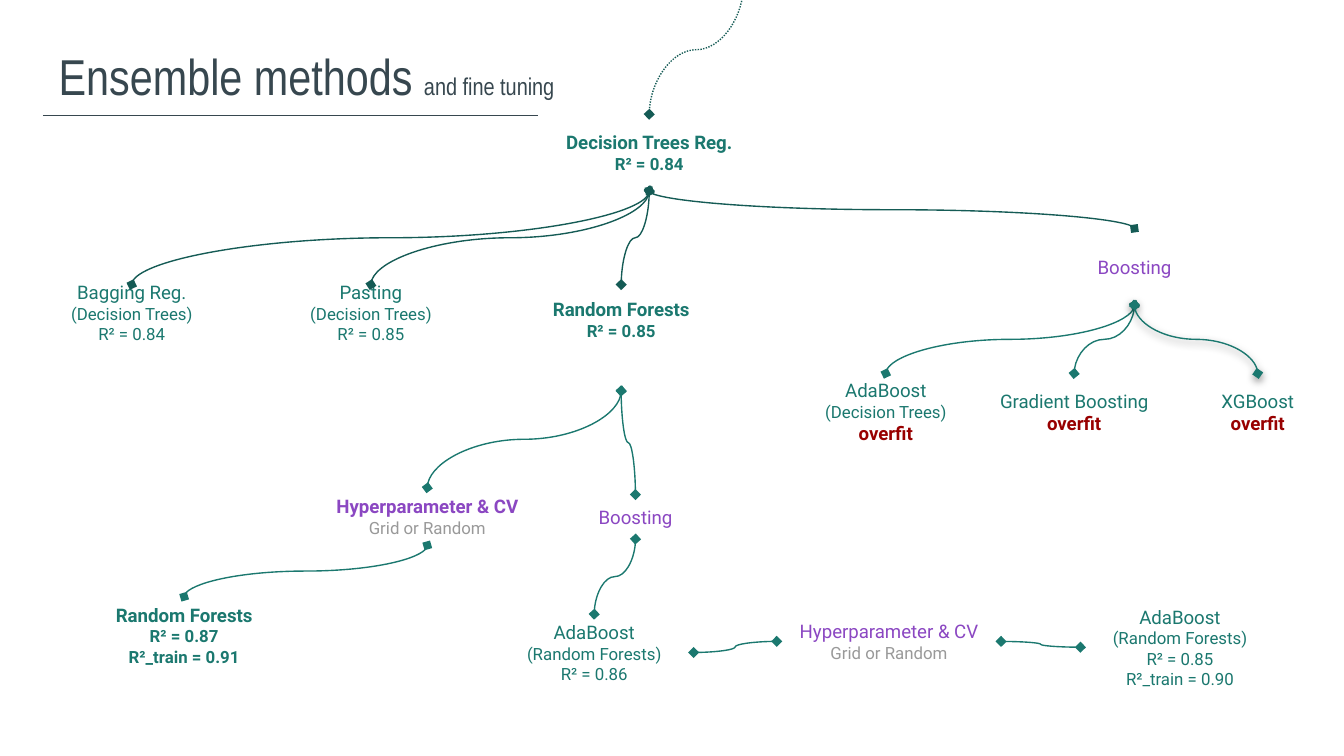
"""Build a slide with a tree of ensemble methods and their R² scores."""
from lxml.etree import SubElement
from pptx import Presentation
from pptx.dml.color import RGBColor
from pptx.enum.dml import MSO_LINE
from pptx.enum.shapes import MSO_CONNECTOR as Link
from pptx.enum.text import MSO_ANCHOR as Anchor, PP_ALIGN as Align
from pptx.oxml.ns import qn
from pptx.util import Cm, Pt

COLORS = {"slate": "37474F", "teal": "1B786F", "dark": "155B55",
          "purple": "8B47C2", "red": "980000", "gray": "999999"}
TOP, LEFT, BOTTOM, RIGHT = range(4)
WIDTH, HEIGHT = 3.76, 1.45

deck = Presentation()
deck.slide_width, deck.slide_height = Cm(25.4), Cm(14.29)
slide = deck.slides.add_slide(deck.slide_layouts[6])


def add_run(paragraph, text, size, color, bold=False, font="Roboto"):
    run = paragraph.add_run()
    run.text = text
    run.font.name, run.font.size, run.font.bold = font, Pt(size), bold
    run.font.color.rgb = RGBColor.from_string(COLORS[color])


def style_link(link, color, ends=True, shadow=False):
    link.line.width = Pt(0.75)
    link.line.color.rgb = RGBColor.from_string(COLORS[color])
    properties = link._element.spPr
    if ends:
        outline = properties.find(qn("a:ln"))
        for end in ("a:headEnd", "a:tailEnd"):
            SubElement(outline, qn(end), type="diamond")
    effects = SubElement(properties, qn("a:effectLst"))
    if shadow:
        cast = SubElement(effects, qn("a:outerShdw"), blurRad="57150",
                          dist="19050", dir="5400000", algn="bl", rotWithShape="0")
        black = SubElement(cast, qn("a:srgbClr"), val="000000")
        SubElement(black, qn("a:alpha"), val="50000")


title = slide.shapes.add_textbox(Cm(0.86), Cm(0.61), Cm(23.67), Cm(1.6)).text_frame
title.word_wrap = True
title.margin_left = title.margin_right = title.margin_top = title.margin_bottom = Cm(0.25)
add_run(title.paragraphs[0], "Ensemble methods ", 27, "slate", font="Arial Narrow")
add_run(title.paragraphs[0], "and fine tuning", 13, "slate", font="Arial Narrow")
underline = slide.shapes.add_connector(Link.STRAIGHT, Cm(0.81), Cm(2.18), Cm(10.16), Cm(2.18))
style_link(underline, "slate", ends=False)

overfit = ("overfit", 10, "red", True)
search = ("Grid or Random", 9, "gray")
on_trees = ("(Decision Trees)", 9, "teal")
on_forests = ("(Random Forests)", 9, "teal")
adaboost = ("AdaBoost", 10, "teal")
boosting = ("Boosting", 10, "purple")

methods = {
    "trees": (10.39, 2.16, WIDTH, HEIGHT, [
        ("Decision Trees Reg.", 10, "teal", True), ("R² = 0.84", 9, "teal", True)]),
    "bagging": (0.61, 5.38, WIDTH, HEIGHT, [
        ("Bagging Reg.", 10, "teal"), on_trees, ("R² = 0.84", 9, "teal")]),
    "pasting": (5.13, 5.38, WIDTH, HEIGHT, [
        ("Pasting", 10, "teal"), on_trees, ("R² = 0.85", 9, "teal")]),
    "forests": (9.86, 5.38, WIDTH, 2.01, [
        ("Random Forests", 10, "teal", True), ("R² = 0.85", 9, "teal", True)]),
    "tree boosting": (19.56, 4.32, WIDTH, HEIGHT, [boosting]),
    "tree adaboost": (14.86, 7.06, WIDTH, HEIGHT, [adaboost, on_trees, overfit]),
    "gradient": (18.42, 7.06, WIDTH, HEIGHT, [("Gradient Boosting", 10, "teal"), overfit]),
    "xgboost": (21.89, 7.06, WIDTH, HEIGHT, [("XGBoost", 10, "teal"), overfit]),
    "forest search": (6.02, 9.22, 4.11, 1.09, [
        ("Hyperparameter & CV", 10, "purple", True), search]),
    "forest boosting": (10.13, 9.35, WIDTH, 0.84, [boosting]),
    "tuned forests": (1.6, 11.28, WIDTH, HEIGHT, [
        ("Random Forests", 10, "teal", True), ("R² = 0.87", 9, "teal", True),
        ("R²_train = 0.91", 9, "teal", True)]),
    "forest adaboost": (9.35, 11.61, WIDTH, HEIGHT, [
        adaboost, on_forests, ("R² = 0.86", 9, "teal")]),
    "adaboost search": (14.68, 11.4, 4.24, HEIGHT, [
        ("Hyperparameter & CV", 10, "purple"), search]),
    "tuned adaboost": (20.42, 11.51, WIDTH, HEIGHT, [
        adaboost, on_forests, ("R² = 0.85", 9, "teal"), ("R²_train = 0.90", 9, "teal")]),
}

boxes = {}
for method, (left, top, width, height, lines) in methods.items():
    box = slide.shapes.add_textbox(Cm(left), Cm(top), Cm(width), Cm(height))
    frame = box.text_frame
    frame.word_wrap = True
    frame.margin_left = frame.margin_right = frame.margin_top = Cm(0.25)
    frame.margin_bottom = Cm(0.64 if method in ("bagging", "pasting") else 0.25)
    frame.vertical_anchor = Anchor.TOP if method == "forests" else Anchor.MIDDLE
    for index, line in enumerate(lines):
        paragraph = frame.add_paragraph() if index else frame.paragraphs[0]
        paragraph.alignment = Align.CENTER
        add_run(paragraph, *line)
    boxes[method] = box

branches = [
    (None, "trees", "dark"),
    ("trees", "bagging", "dark"),
    ("trees", "pasting", "dark"),
    ("trees", "forests", "dark"),
    ("trees", "tree boosting", "dark"),
    ("tree boosting", "tree adaboost", "teal"),
    ("tree boosting", "gradient", "teal"),
    ("tree boosting", "xgboost", "teal"),
    ("forests", "forest search", "teal"),
    ("forests", "forest boosting", "teal"),
    ("forest search", "tuned forests", "teal"),
    ("forest boosting", "forest adaboost", "teal"),
]
for parent, child, color in branches:
    branch = slide.shapes.add_connector(Link.CURVE, Cm(14.05), Cm(-0.28), 0, 0)
    if parent:
        branch.begin_connect(boxes[parent], BOTTOM)
    branch.end_connect(boxes[child], TOP)
    across = branch.end_x - branch.begin_x
    down = branch.end_y - branch.begin_y
    middle_x = (branch.begin_x + branch.end_x) // 2
    middle_y = (branch.begin_y + branch.end_y) // 2
    branch.width, branch.height = down, abs(across)
    branch.left, branch.top = middle_x - down // 2, middle_y - abs(across) // 2
    turn = branch._element.spPr.find(qn("a:xfrm"))
    turn.set("rot", "16200000" if across > 0 else "5400000")
    turn.set("flipH", "1" if across > 0 else "0")
    turn.set("flipV", "0")
    style_link(branch, color, shadow=child == "xgboost")
    if not parent:
        branch.line.dash_style = MSO_LINE.ROUND_DOT

for earlier, later in (("forest adaboost", "adaboost search"),
                       ("adaboost search", "tuned adaboost")):
    step = slide.shapes.add_connector(Link.CURVE, 0, 0, 0, 0)
    step.begin_connect(boxes[earlier], RIGHT)
    step.end_connect(boxes[later], LEFT)
    style_link(step, "teal")

deck.save("out.pptx")
